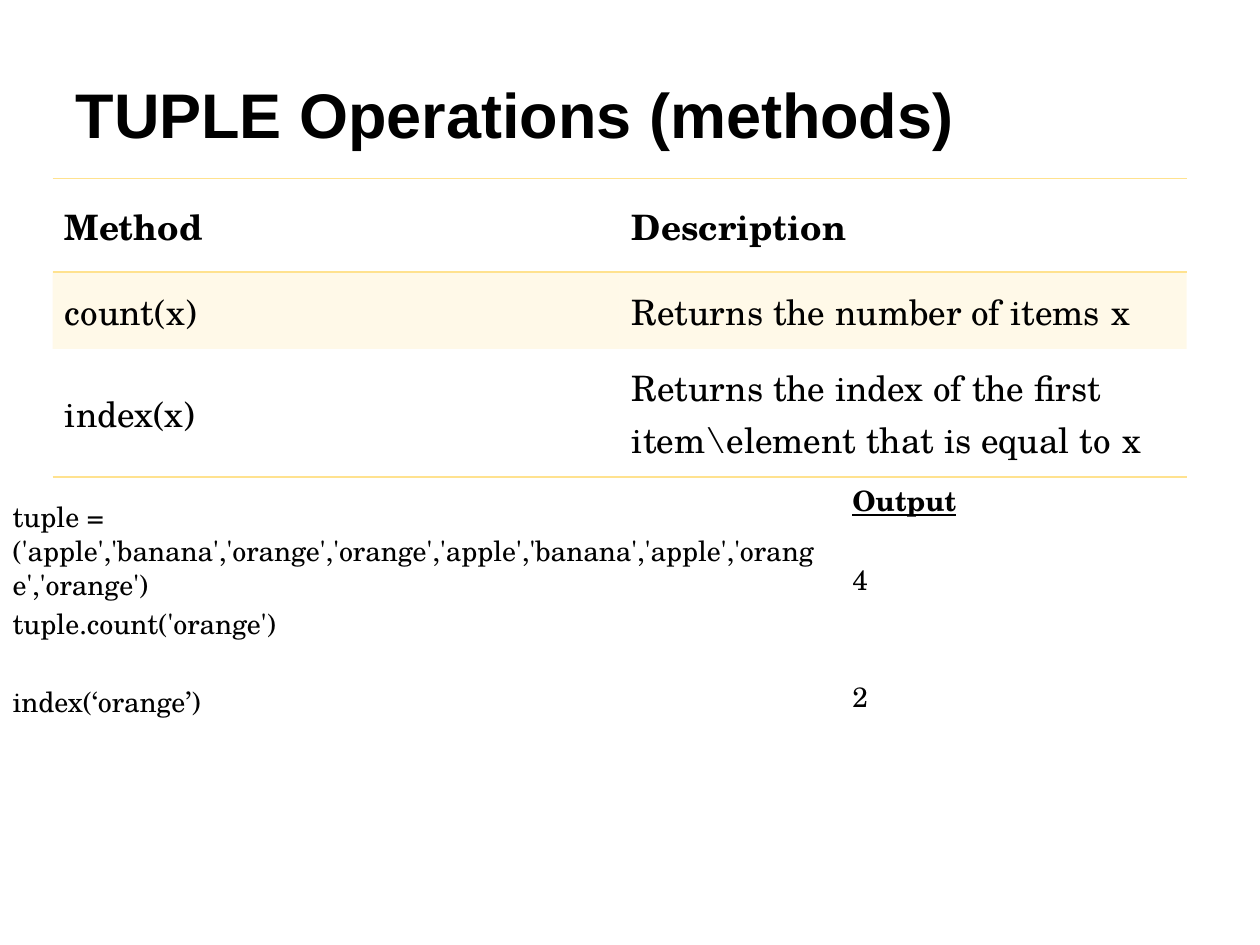
from dataclasses import dataclass

from lxml import etree
from pptx import Presentation
from pptx.dml.color import RGBColor
from pptx.enum.text import MSO_ANCHOR, MSO_AUTO_SIZE, PP_ALIGN
from pptx.oxml.ns import qn
from pptx.util import Cm, Pt

ANCHOR_TOP, ANCHOR_MIDDLE, ANCHOR_BOTTOM = MSO_ANCHOR.TOP, MSO_ANCHOR.MIDDLE, MSO_ANCHOR.BOTTOM
ALIGN_LEFT = PP_ALIGN.LEFT
NO_AUTOFIT = MSO_AUTO_SIZE.NONE

TITLE_FONT, BODY_FONT = "Arial", "TeX Gyre Schola"
BLACK, GOLD = "000000", "FFE28F"
NO_STYLE_NO_GRID = "{2D5ABB26-0587-4C30-8999-92F81FD0307C}"
CELL_SIDES = ("lnL", "lnR", "lnT", "lnB")
TWO_CONTENT_LAYOUT = 3
NO_BREAK_SPACE = chr(160)
CODE_GAP = 3.2
EMPTY_LINE = 22.3  # height of one 16 pt line with its gap


@dataclass
class Box:
    left: float
    top: float
    width: float
    height: float


@dataclass
class Line:
    text: str
    lines_above: int = 0
    heading: bool = False


@dataclass
class Row:
    method: str
    description: str
    height: float
    margin_top: float = 0.25
    margin_bottom: float = 0.23
    bold: bool = False
    shaded: bool = False
    borders: tuple[str, ...] = ()


ROWS = [
    Row("Method", "Description", 1.85, 0.41, 0.38, bold=True, borders=("lnT", "lnB")),
    Row("count(x)", f"Returns the number of items{NO_BREAK_SPACE}x", 1.55,
        shaded=True, borders=("lnT",)),
    Row("index(x)",
        rf"Returns the index of the first item\element that is equal to{NO_BREAK_SPACE}x",
        2.58, borders=("lnB",)),
]
CODE = [
    Line("tuple = ('apple','banana','orange','orange','apple','banana','apple','orange','orange')"),
    Line("tuple.count('orange')"),
    Line("index(‘orange’)", lines_above=1),
]
OUTPUT = [
    Line("Output", heading=True),
    Line("4", lines_above=1),
    Line("2", lines_above=2),
]


def color(value: str) -> RGBColor:
    return RGBColor.from_string(value)


def add_run(paragraph, text: str, size: float, font: str = BODY_FONT,
            bold: bool = False, underline: bool = False) -> None:
    run = paragraph.add_run()
    run.text = text
    run.font.name = font
    run.font.size = Pt(size)
    run.font.bold = bold
    run.font.underline = underline
    run.font.color.rgb = color(BLACK)


def place(shape, box: Box, anchor):
    """Move a placeholder and return its text frame, ready for text."""
    shape.left, shape.top = Cm(box.left), Cm(box.top)
    shape.width, shape.height = Cm(box.width), Cm(box.height)
    frame = shape.text_frame
    frame.word_wrap = True
    frame.auto_size = NO_AUTOFIT
    frame.vertical_anchor = anchor
    return frame


def fill_list(shape, box: Box, lines: list[Line]) -> None:
    frame = place(shape, box, ANCHOR_TOP)
    for index, line in enumerate(lines):
        paragraph = frame.add_paragraph() if index else frame.paragraphs[0]
        gap = CODE_GAP + line.lines_above * EMPTY_LINE if index else 0
        paragraph.space_before = Pt(gap)
        properties = paragraph._p.get_or_add_pPr()
        properties.set("marL", "0")
        properties.set("indent", "0")
        etree.SubElement(properties, qn("a:buNone"))
        add_run(paragraph, line.text, 16, bold=line.heading, underline=line.heading)


def set_borders(cell, visible_sides: tuple[str, ...]) -> None:
    properties = cell._tc.get_or_add_tcPr()
    for side in CELL_SIDES:
        border = etree.SubElement(properties, qn(f"a:{side}"), w=str(Pt(1)))
        if side in visible_sides:
            fill = etree.SubElement(border, qn("a:solidFill"))
            etree.SubElement(fill, qn("a:srgbClr"), val=GOLD)
        else:
            etree.SubElement(border, qn("a:noFill"))


def shade(cell) -> None:
    cell.fill.solid()
    cell.fill.fore_color.rgb = color(GOLD)
    fill_color = cell._tc.tcPr.find(f"{qn('a:solidFill')}/{qn('a:srgbClr')}")
    etree.SubElement(fill_color, qn("a:alpha"), val="20000")


def fill_cell(cell, text: str, row: Row) -> None:
    cell.vertical_anchor = ANCHOR_MIDDLE
    cell.margin_left, cell.margin_right = Cm(0.25), Cm(0.2)
    cell.margin_top, cell.margin_bottom = Cm(row.margin_top), Cm(row.margin_bottom)
    set_borders(cell, row.borders)
    if row.shaded:
        shade(cell)
    else:
        cell.fill.background()
    add_run(cell.text_frame.paragraphs[0], text, 20, bold=row.bold)


def add_method_table(slide, box: Box, rows: list[Row]) -> None:
    table = slide.shapes.add_table(len(rows), 2, Cm(box.left), Cm(box.top),
                                   Cm(box.width), Cm(box.height)).table
    table.first_row = table.horz_banding = False
    table._tbl.tblPr.find(qn("a:tableStyleId")).text = NO_STYLE_NO_GRID
    for index, row in enumerate(rows):
        table.rows[index].height = Cm(row.height)
        for column, text in enumerate((row.method, row.description)):
            fill_cell(table.cell(index, column), text, row)


def main() -> None:
    presentation = Presentation()
    presentation.slide_width, presentation.slide_height = Cm(25.4), Cm(19.05)
    slide = presentation.slides.add_slide(presentation.slide_layouts[TWO_CONTENT_LAYOUT])
    title, code, output = slide.placeholders

    heading = place(title, Box(1.27, 0.2, 18.85, 2.97), ANCHOR_BOTTOM).paragraphs[0]
    heading.alignment = ALIGN_LEFT
    add_run(heading, "TUPLE Operations (methods)", 36, TITLE_FONT, bold=True)

    table_height = sum(row.height for row in ROWS)
    add_method_table(slide, Box(1.06, 3.6, 22.86, table_height), ROWS)
    fill_list(code, Box(0, 9.95, 16.94, 8.89), CODE)
    fill_list(output, Box(16.93, 9.63, 7.62, 8.89), OUTPUT)
    presentation.save("out.pptx")


if __name__ == "__main__":
    main()
